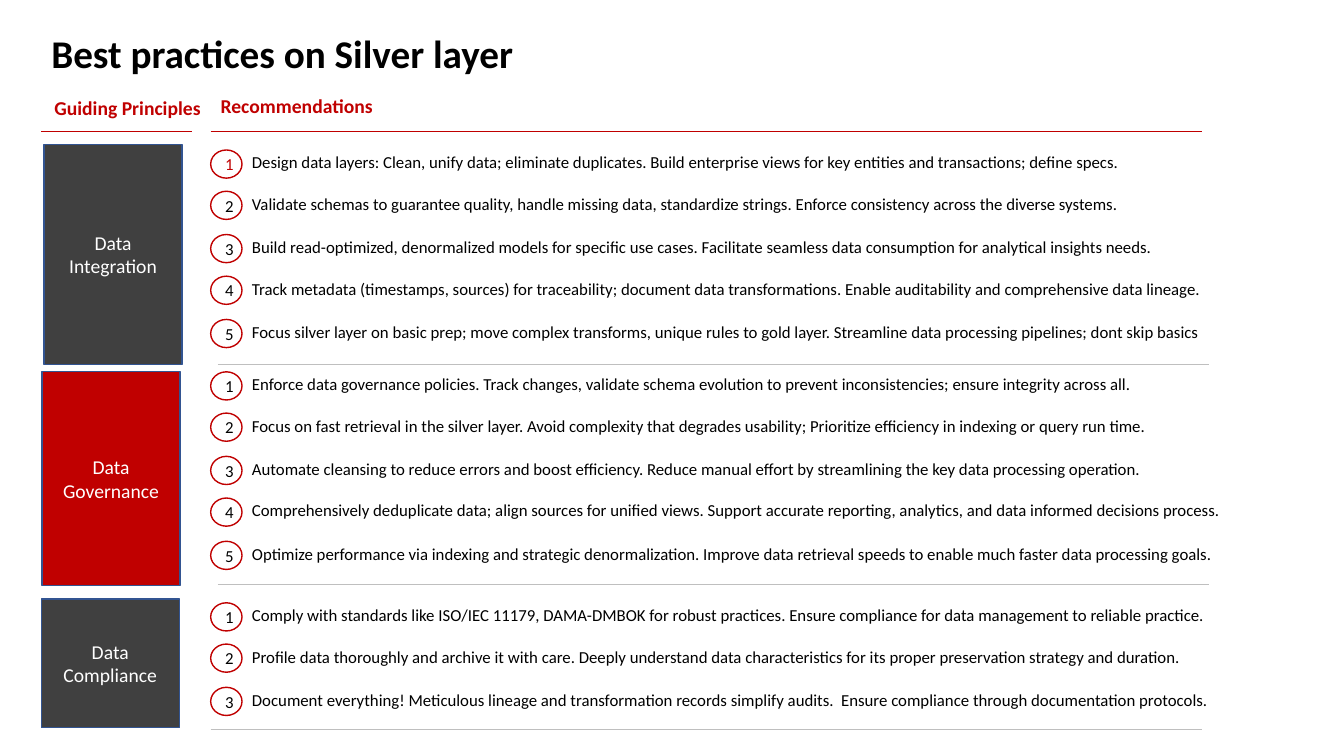
import dataclasses

import pptx
import pptx.dml.color
import pptx.enum.shapes
import pptx.enum.text
import pptx.oxml.ns
import pptx.shapes.autoshape
import pptx.slide
import pptx.text.text
import pptx.util
from lxml import etree
from pptx.util import Cm

COLORS = {
    "black": "000000",
    "white": "FFFFFF",
    "red": "C00000",
    "charcoal": "404040",
    "navy": "325491",
    "silver": "BFBFBF",
}
FONT_NAME = "Calibri"
ROW_OFFSETS = (0, 1.04, 2.13, 3.18, 4.27)
NUMBER_LEFT, NUMBER_WIDTH, NUMBER_HEIGHT = 5.31, 0.79, 0.71
TEXT_LEFT, TEXT_WIDTH, TEXT_HEIGHT = 6.1, 26.67, 0.76
TEXT_RISE = 0.07
PRINCIPLE_WIDTH = 3.48
RULE_WIDTH = 24.98


@dataclasses.dataclass(frozen=True)
class Section:
    principle: str
    fill: str
    left: float
    top: float
    height: float
    first_row_top: float
    rule_left: float
    rule_top: float
    recommendations: tuple[str, ...]
    first_number_color: str = "black"


@dataclasses.dataclass(frozen=True)
class Header:
    label: str
    left: float
    top: float
    width: float
    rule_left: float
    rule_top: float
    rule_width: float


HEADERS = (
    Header("Guiding Principles", 1.12, 2.29, 4.22, 1.04, 3.31, 3.79),
    Header("Recommendations", 5.31, 2.24, 25.3, 5.31, 3.32, RULE_WIDTH),
)

SECTIONS = (
    Section(
        "Data Integration", "charcoal", 1.11, 3.64, 5.54, 3.78, 5.49, 9.17,
        (
            "Design data layers: Clean, unify data; eliminate duplicates. Build enterprise views for key entities and transactions; define specs.",
            "Validate schemas to guarantee quality, handle missing data, standardize strings. Enforce consistency across the diverse systems.",
            "Build read-optimized, denormalized models for specific use cases. Facilitate seamless data consumption for analytical insights needs.",
            "Track metadata (timestamps, sources) for traceability; document data transformations. Enable auditability and comprehensive data lineage.",
            "Focus silver layer on basic prep; move complex transforms, unique rules to gold layer. Streamline data processing pipelines; dont skip basics",
        ),
        first_number_color="red",
    ),
    Section(
        "Data Governance", "red", 1.06, 9.36, 5.4, 9.37, 5.49, 14.73,
        (
            "Enforce data governance policies. Track changes, validate schema evolution to prevent inconsistencies; ensure integrity across all.",
            "Focus on fast retrieval in the silver layer. Avoid complexity that degrades usability; Prioritize efficiency in indexing or query run time.",
            "Automate cleansing to reduce errors and boost efficiency. Reduce manual effort by streamlining the key data processing operation.",
            "Comprehensively deduplicate data; align sources for unified views. Support accurate reporting, analytics, and data informed decisions process.",
            "Optimize performance via indexing and strategic denormalization. Improve data retrieval speeds to enable much faster data processing goals.",
        ),
    ),
    Section(
        "Data Compliance", "charcoal", 1.04, 15.09, 3.25, 15.19, 5.31, 18.39,
        (
            "Comply with standards like ISO/IEC 11179, DAMA-DMBOK for robust practices. Ensure compliance for data management to reliable practice.",
            "Profile data thoroughly and archive it with care. Deeply understand data characteristics for its proper preservation strategy and duration.",
            "Document everything! Meticulous lineage and transformation records simplify audits.  Ensure compliance through documentation protocols.",
        ),
    ),
)


def rgb(name: str) -> pptx.dml.color.RGBColor:
    return pptx.dml.color.RGBColor.from_string(COLORS[name])


def write_text(
    frame: pptx.text.text.TextFrame,
    text: str,
    size: int,
    color: str,
    bold: bool = False,
    centered: bool = False,
) -> None:
    """Fill a text frame with one formatted paragraph, centred both ways if asked."""
    alignment = pptx.enum.text.PP_ALIGN
    anchor = pptx.enum.text.MSO_ANCHOR
    frame.word_wrap = True
    frame.vertical_anchor = anchor.MIDDLE if centered else anchor.TOP
    paragraph = frame.paragraphs[0]
    paragraph.text = text
    paragraph.alignment = alignment.CENTER if centered else alignment.LEFT
    paragraph.font.name = FONT_NAME
    paragraph.font.size = pptx.util.Pt(size)
    paragraph.font.bold = bold
    paragraph.font.color.rgb = rgb(color)


def add_label(
    slide: pptx.slide.Slide, text: str, left: float, top: float,
    width: float, height: float, size: int, color: str, bold: bool = False,
) -> None:
    box = slide.shapes.add_textbox(Cm(left), Cm(top), Cm(width), Cm(height))
    write_text(box.text_frame, text, size, color, bold)
    box.text_frame.auto_size = pptx.enum.text.MSO_AUTO_SIZE.SHAPE_TO_FIT_TEXT


def style_shape(shape: pptx.shapes.autoshape.Shape, fill: str, line: str) -> None:
    shape.shadow.inherit = False
    shape.fill.solid()
    shape.fill.fore_color.rgb = rgb(fill)
    shape.line.color.rgb = rgb(line)
    shape.line.width = pptx.util.Pt(1)


def add_rule(slide: pptx.slide.Slide, left: float, top: float, width: float, color: str) -> None:
    """Draw a thin horizontal line without a shadow."""
    rule = slide.shapes.add_connector(
        pptx.enum.shapes.MSO_CONNECTOR.STRAIGHT, Cm(left), Cm(top), Cm(left + width), Cm(top)
    )
    rule.line.color.rgb = rgb(color)
    rule.line.width = pptx.util.Pt(0.5)
    properties = rule._element.find(pptx.oxml.ns.qn("p:spPr"))
    etree.SubElement(properties, pptx.oxml.ns.qn("a:effectLst"))


def add_recommendation(
    slide: pptx.slide.Slide, number: int, text: str, top: float, number_color: str
) -> None:
    circle = slide.shapes.add_shape(
        pptx.enum.shapes.MSO_SHAPE.OVAL,
        Cm(NUMBER_LEFT), Cm(top), Cm(NUMBER_WIDTH), Cm(NUMBER_HEIGHT),
    )
    style_shape(circle, "white", "red")
    write_text(circle.text_frame, str(number), 12, number_color, centered=True)
    add_label(slide, text, TEXT_LEFT, top - TEXT_RISE, TEXT_WIDTH, TEXT_HEIGHT, 12, "black")


def add_section(slide: pptx.slide.Slide, section: Section) -> None:
    block = slide.shapes.add_shape(
        pptx.enum.shapes.MSO_SHAPE.RECTANGLE,
        Cm(section.left), Cm(section.top), Cm(PRINCIPLE_WIDTH), Cm(section.height),
    )
    style_shape(block, section.fill, "navy")
    write_text(block.text_frame, section.principle, 14, "white", centered=True)
    for number, (text, offset) in enumerate(zip(section.recommendations, ROW_OFFSETS), start=1):
        color = section.first_number_color if number == 1 else "black"
        add_recommendation(slide, number, text, section.first_row_top + offset, color)
    add_rule(slide, section.rule_left, section.rule_top, RULE_WIDTH, "silver")


def add_title(slide: pptx.slide.Slide) -> None:
    title = slide.shapes.title
    title.left, title.top, title.width, title.height = Cm(1.04), Cm(0.61), Cm(31.37), Cm(1.45)
    write_text(title.text_frame, "Best practices on Silver layer", 28, "black", bold=True)
    title.text_frame.auto_size = pptx.enum.text.MSO_AUTO_SIZE.NONE


def main() -> None:
    presentation = pptx.Presentation()
    presentation.slide_width, presentation.slide_height = Cm(33.87), Cm(19.05)
    slide = presentation.slides.add_slide(presentation.slide_layouts.get_by_name("Title Only"))
    add_title(slide)
    for header in HEADERS:
        add_label(slide, header.label, header.left, header.top, header.width, 0.86, 14, "red", bold=True)
        add_rule(slide, header.rule_left, header.rule_top, header.rule_width, "red")
    for section in SECTIONS:
        add_section(slide, section)
    presentation.save("out.pptx")


if __name__ == "__main__":
    main()
